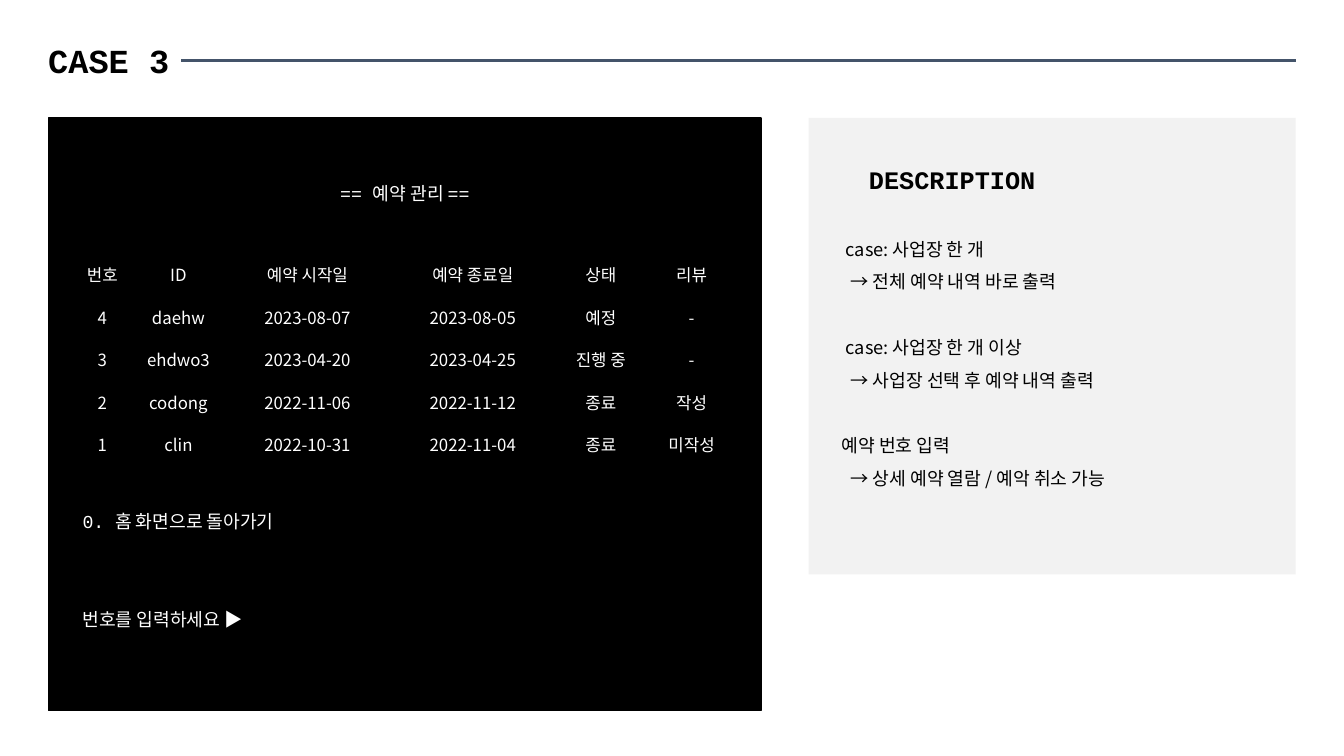
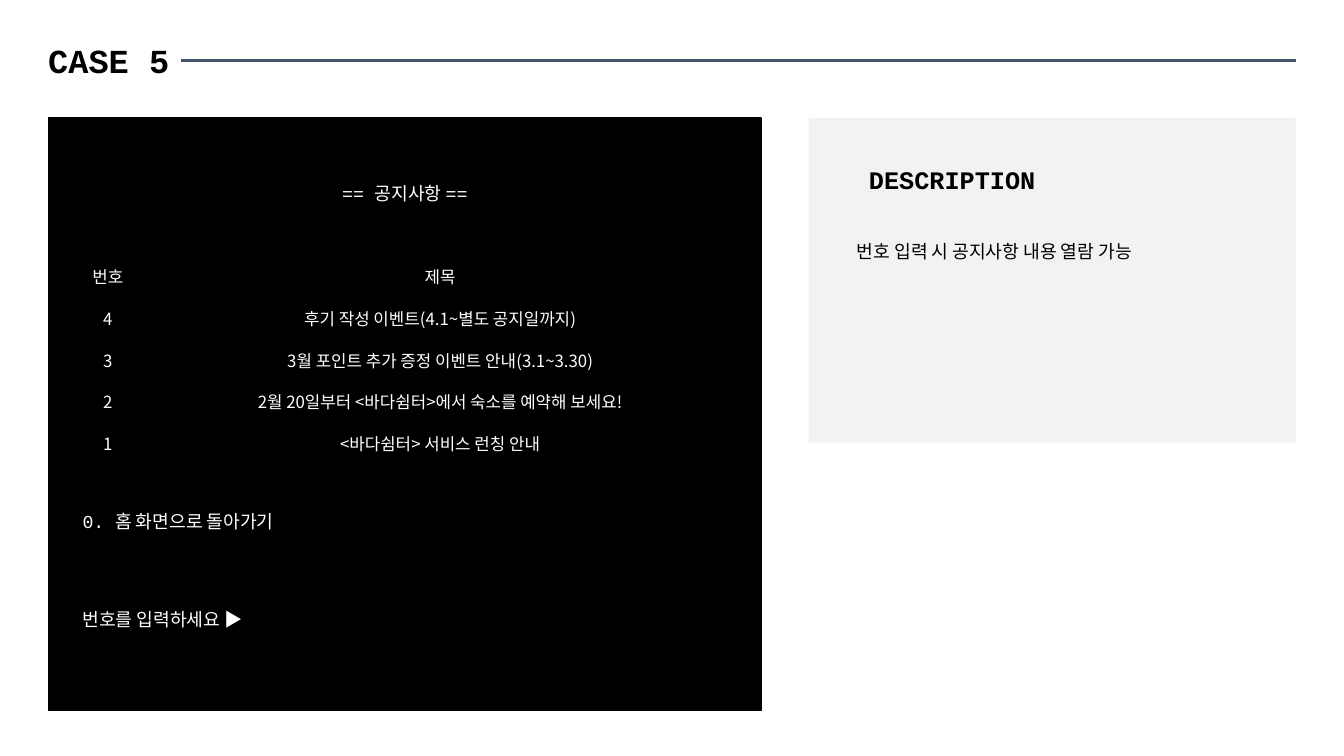
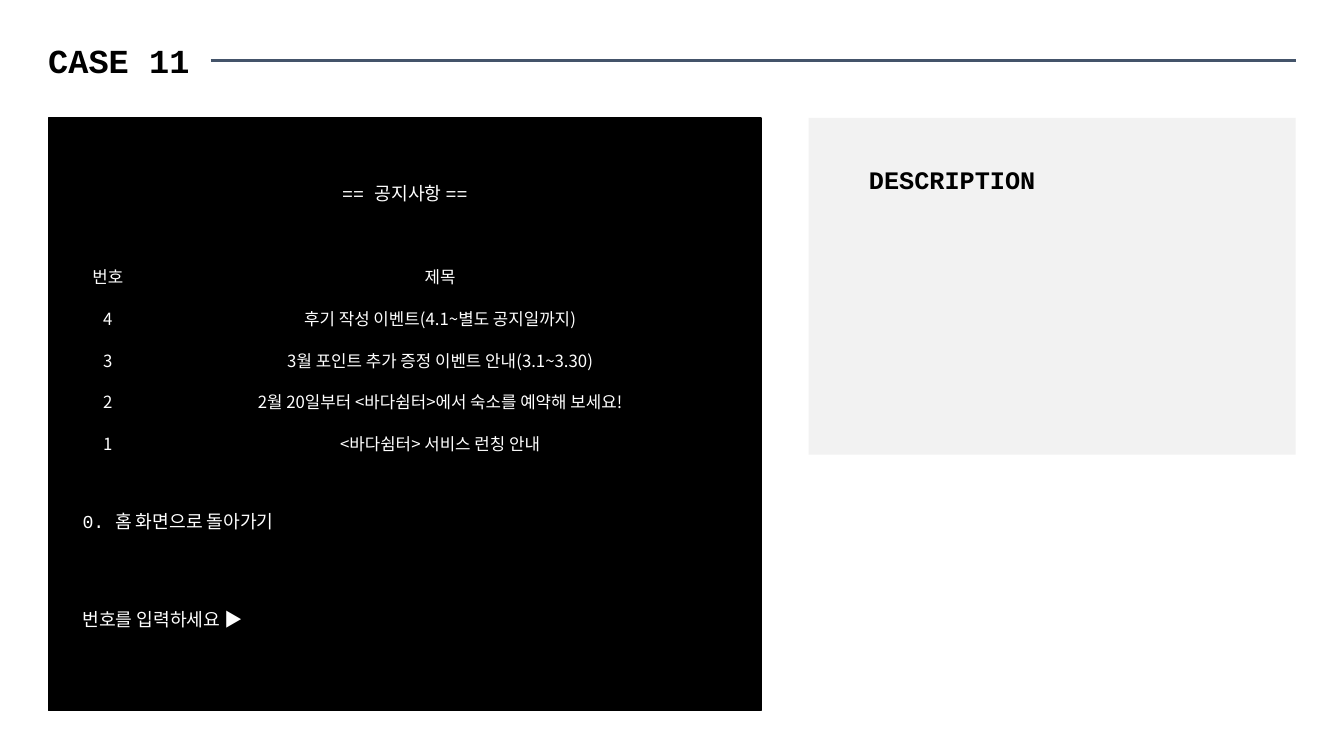
from dataclasses import dataclass

from lxml import etree
from pptx import Presentation
from pptx.dml.color import RGBColor
from pptx.enum.shapes import MSO_CONNECTOR, MSO_SHAPE
from pptx.enum.text import MSO_ANCHOR, PP_ALIGN
from pptx.oxml.ns import qn
from pptx.util import Inches, Pt

RECTANGLE, STRAIGHT = MSO_SHAPE.RECTANGLE, MSO_CONNECTOR.STRAIGHT
LEFT, CENTER = PP_ALIGN.LEFT, PP_ALIGN.CENTER
TOP, MIDDLE = MSO_ANCHOR.TOP, MSO_ANCHOR.MIDDLE
PLAIN_TABLE = "{2D5ABB26-0587-4C30-8999-92F81FD0307C}"


@dataclass(frozen=True)
class Theme:
    """Colours, fonts and type sizes shared by the slides."""
    ink: RGBColor = RGBColor(0, 0, 0)
    paper: RGBColor = RGBColor(255, 255, 255)
    panel: RGBColor = RGBColor(0xF2, 0xF2, 0xF2)
    rule: RGBColor = RGBColor(0x44, 0x54, 0x6A)
    mono: str = "Courier New"
    sans: str = "Noto Sans CJK KR"
    title: int = 24
    heading: int = 18
    body: int = 13
    cell: int = 12
    leading: float = 1.8


THEME = Theme()
BODY_LINE = THEME.body * THEME.leading
HEADING_LINE = 30

# Page grid, in inches
WIDTH, HEIGHT = 13.33, 7.5
MARGIN = 0.48
RIGHT = WIDTH - MARGIN
BODY_TOP = 1.17
SCREEN_W, SCREEN_H = 7.07, 5.88
SCREEN_PAD = 0.24
SCREEN_INNER = SCREEN_W - 2 * SCREEN_PAD
PANEL_W = 4.83
INSET = 0.1
TITLE_LEFT, TITLE_TOP, TITLE_H = MARGIN - INSET, 0.35, 0.5

notices = dict(
    screen="공지사항", table_top=2.53, table_h=2.08, columns=[0.7, 5.89],
    rows=[
        ["번호", "제목"],
        ["4", "후기 작성 이벤트(4.1~별도 공지일까지)"],
        ["3", "3월 포인트 추가 증정 이벤트 안내(3.1~3.30)"],
        ["2", "2월 20일부터 <바다쉼터>에서 숙소를 예약해 보세요!"],
        ["1", "<바다쉼터> 서비스 런칭 안내"],
    ])
bookings = dict(
    screen="예약 관리", table_top=2.51, table_h=2.11,
    columns=[0.59, 0.92, 1.64, 1.64, 0.9, 0.9],
    rows=[
        ["번호", "ID", "예약 시작일", "예약 종료일", "상태", "리뷰"],
        ["4", "daehw", "2023-08-07", "2023-08-05", "예정", "-"],
        ["3", "ehdwo3", "2023-04-20", "2023-04-25", "진행 중", "-"],
        ["2", "codong", "2022-11-06", "2022-11-12", "종료", "작성"],
        ["1", "clin", "2022-10-31", "2022-11-04", "종료", "미작성"],
    ])

# Each note: text, indent in inches, blank lines of space above
cases = [
    dict(bookings, title="CASE 3", title_w=1.42, panel_h=4.53, notes=[
        ("case: 사업장 한 개", 0.27, 1),
        ("→ 전체 예약 내역 바로 출력", 0.32, 0),
        ("case: 사업장 한 개 이상", 0.27, 1),
        ("→ 사업장 선택 후 예약 내역 출력", 0.32, 0),
        ("예약 번호 입력", 0.23, 1),
        ("→ 상세 예약 열람 / 예악 취소 가능", 0.32, 0),
    ]),
    dict(notices, title="CASE 5", title_w=1.42, panel_h=3.22, notes=[
        ("번호 입력 시 공지사항 내용 열람 가능", 0.38, 1.08),
    ]),
    dict(notices, title="CASE 11", title_w=1.71, panel_h=3.34, notes=[]),
]


def add_line(frame, text, size, font, color, bold=False, align=LEFT,
             line=None, above=0, indent=0):
    """Write one paragraph, filling the frame's empty first one if free."""
    first = frame.paragraphs[0]
    paragraph = frame.add_paragraph() if first.runs else first
    paragraph.alignment = align
    if line:
        paragraph.line_spacing = Pt(line)
    if above:
        paragraph.space_before = Pt(above)
    if indent:
        paragraph._p.get_or_add_pPr().set("marL", str(Inches(indent)))
    run = paragraph.add_run()
    run.text = text
    run.font.size, run.font.name, run.font.bold = Pt(size), font, bold
    run.font.color.rgb = color
    east_asian = etree.SubElement(run._r.get_or_add_rPr(), qn("a:ea"))
    east_asian.set("typeface", THEME.sans)


def add_block(slide, left, width, height, color):
    """Draw a flat rectangle on the body line and return it."""
    block = slide.shapes.add_shape(RECTANGLE, Inches(left), Inches(BODY_TOP),
                                   Inches(width), Inches(height))
    block.shadow.inherit = False
    block.fill.solid()
    block.fill.fore_color.rgb = color
    block.line.fill.background()
    return block


deck = Presentation()
deck.slide_width, deck.slide_height = Inches(WIDTH), Inches(HEIGHT)
blank = deck.slide_layouts[6]

for case in cases:
    slide = deck.slides.add_slide(blank)

    # Title and rule
    title = slide.shapes.add_textbox(
        Inches(TITLE_LEFT), Inches(TITLE_TOP), Inches(case["title_w"]),
        Inches(TITLE_H)).text_frame
    title.word_wrap = False
    add_line(title, case["title"], THEME.title, THEME.mono, THEME.ink, bold=True)
    rule_y = Inches(TITLE_TOP + TITLE_H / 2)
    rule = slide.shapes.add_connector(
        STRAIGHT, Inches(TITLE_LEFT + case["title_w"]), rule_y,
        Inches(RIGHT), rule_y)
    rule.line.color.rgb, rule.line.width = THEME.rule, Pt(1.5)
    etree.SubElement(rule._element.spPr, qn("a:effectLst"))

    # Console screen
    screen = add_block(slide, MARGIN, SCREEN_W, SCREEN_H, THEME.ink)
    screen.line.color.rgb, screen.line.width = THEME.ink, Pt(1)
    console = slide.shapes.add_textbox(
        Inches(MARGIN + SCREEN_PAD), Inches(1.43),
        Inches(SCREEN_INNER), Inches(5.32)).text_frame
    console.word_wrap = True
    console.margin_top = Inches(0.27)
    for text, align, blank_lines in [
            (f"== {case['screen']} ==", CENTER, 0),
            ("0. 홈 화면으로 돌아가기", LEFT, 9),
            ("번호를 입력하세요 ▶", LEFT, 2)]:
        add_line(console, text, THEME.body, THEME.mono, THEME.paper,
                 align=align, line=BODY_LINE, above=blank_lines * BODY_LINE)

    # Description panel
    panel = add_block(slide, RIGHT - PANEL_W, PANEL_W, case["panel_h"],
                      THEME.panel).text_frame
    panel.word_wrap = True
    panel.vertical_anchor = TOP
    panel.margin_top = Inches(0.34)
    add_line(panel, "DESCRIPTION", THEME.heading, THEME.mono, THEME.ink,
             bold=True, line=HEADING_LINE, indent=0.5)
    for text, indent, blank_lines in case["notes"]:
        add_line(panel, text, THEME.body, THEME.sans, THEME.ink,
                 line=BODY_LINE, above=blank_lines * BODY_LINE, indent=indent)

    # Records on the console
    rows, columns = case["rows"], case["columns"]
    records = slide.shapes.add_table(
        len(rows), len(columns), Inches(MARGIN + SCREEN_PAD),
        Inches(case["table_top"]), Inches(SCREEN_INNER),
        Inches(case["table_h"])).table
    records.first_row = records.horz_banding = False
    records._tbl.tblPr.find(qn("a:tableStyleId")).text = PLAIN_TABLE
    for column, width in zip(records.columns, columns):
        column.width = Inches(width)
    for r, row in enumerate(rows):
        for c, text in enumerate(row):
            cell = records.cell(r, c)
            cell.fill.background()
            cell.vertical_anchor = MIDDLE
            add_line(cell.text_frame, text, THEME.cell, THEME.sans,
                     THEME.paper, align=CENTER)

deck.save("out.pptx")
